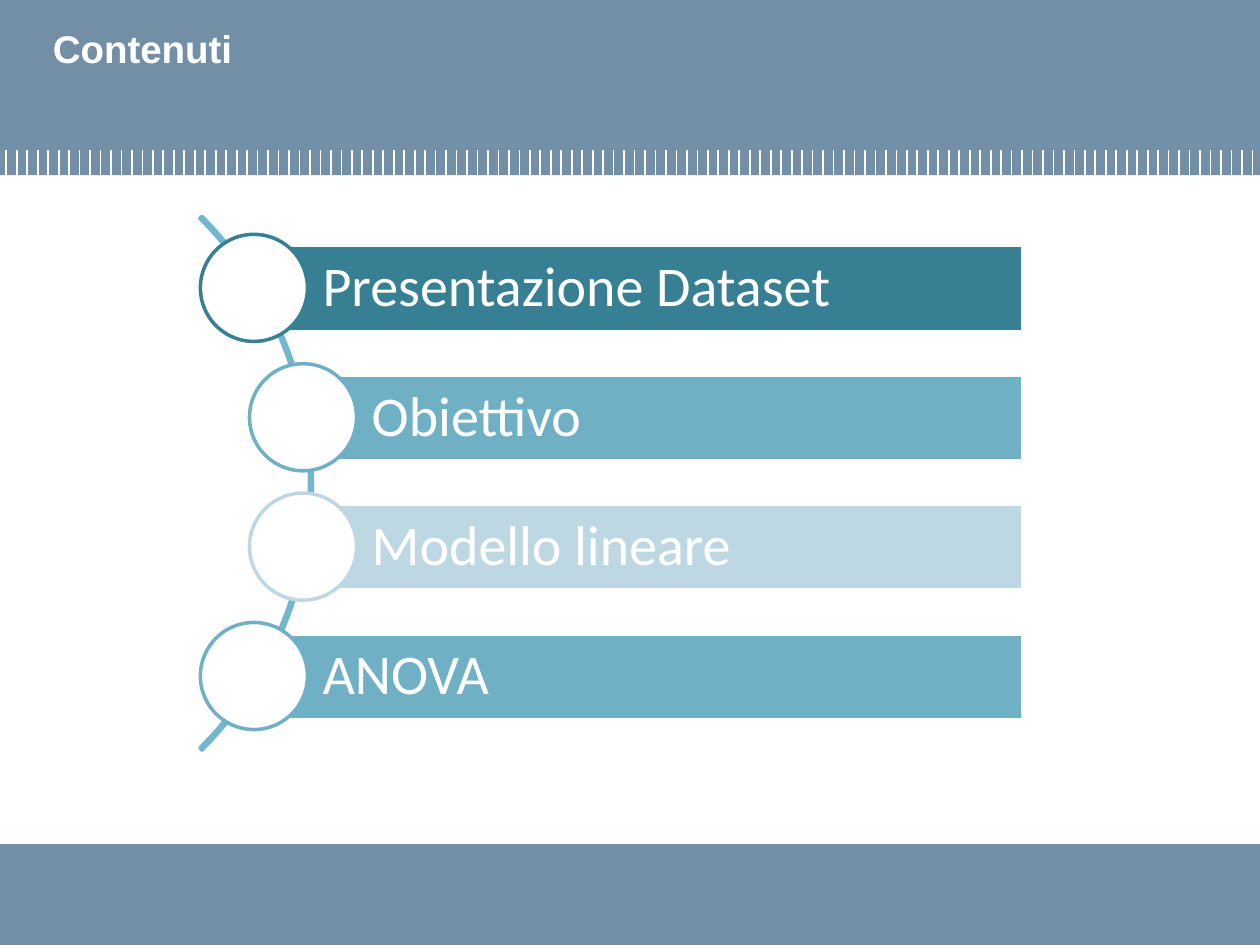
from pptx import Presentation
from pptx.dml.color import RGBColor
from pptx.enum.shapes import MSO_CONNECTOR, MSO_SHAPE
from pptx.enum.text import MSO_ANCHOR, MSO_AUTO_SIZE, PP_ALIGN
from pptx.oxml.ns import qn
from pptx.util import Inches, Pt
from lxml import etree


def rgb(color):
    return RGBColor.from_string(color)


def add_shape(kind, x, y, w, h, fill=None, line=None):
    sp = s.shapes.add_shape(kind, Inches(x), Inches(y), Inches(w), Inches(h))
    sp.shadow.inherit = False
    if fill:
        sp.fill.solid()
        sp.fill.fore_color.rgb = rgb(fill)
    else:
        sp.fill.background()
    if line:
        sp.line.color.rgb = rgb(line)
        sp.line.width = Pt(2)
    else:
        sp.line.fill.background()
    return sp


prs = Presentation()
prs.slide_width, prs.slide_height = Inches(10), Inches(7.5)
s = prs.slides.add_slide(prs.slide_layouts[5])

# Header and footer bands
for y, h in [(0, 1.39), (6.7, 0.8)]:
    add_shape(MSO_SHAPE.RECTANGLE, 0, y, 10, h, "728FA5")

# Row of white ticks along the header's lower edge
TICKS, FIRST, LAST = 120, 0.05, 9.94
for i in range(TICKS):
    x = Inches(FIRST + (LAST - FIRST) * i / (TICKS - 1))
    tick = s.shapes.add_connector(MSO_CONNECTOR.STRAIGHT, x, Inches(1.19), x, Inches(1.39))
    tick.line.color.rgb = rgb("FFFFFF")
    tick.line.width = Pt(1)
    etree.SubElement(tick.element.spPr, qn("a:effectLst"))

# Title, brought in front of the header band
title = s.shapes.title
title.element.getparent().append(title.element)
title.left, title.top = Inches(0.32), Inches(0.15)
title.width, title.height = Inches(9.38), Inches(0.92)
tf = title.text_frame
tf.text = "Contenuti"
tf.auto_size = MSO_AUTO_SIZE.NONE
tf.vertical_anchor = MSO_ANCHOR.TOP
p = tf.paragraphs[0]
p.alignment = PP_ALIGN.LEFT
p.font.name, p.font.size, p.font.bold = "Arial", Pt(22), True
p.font.color.rgb = rgb("FFFFFF")

# Arc behind the list
arc = add_shape(MSO_SHAPE.BLOCK_ARC, -3.51, 0.84, 5.99, 5.99, line="71B7CD")
for i, value in enumerate([189, 27, 0.004]):
    arc.adjustments[i] = value

# List of topics: a bar with a circle on its left end
RIGHT, TOP, PITCH = 8.12, 1.95, 3.08 / 3
topics = [
    ("Presentazione Dataset", 2.02, "377F92"),
    ("Obiettivo", 2.41, "70B0C5"),
    ("Modello lineare", 2.41, "BED8E3"),
    ("ANOVA", 2.02, "70B0C5"),
]
for i, (text, x, color) in enumerate(topics):
    y = TOP + i * PITCH
    bar = add_shape(MSO_SHAPE.RECTANGLE, x, y, RIGHT - x, 0.68, color, "FFFFFF")
    tf = bar.text_frame
    tf.text = text
    tf.word_wrap = True
    tf.vertical_anchor = MSO_ANCHOR.MIDDLE
    tf.margin_left = Inches(0.54)
    tf.margin_top = tf.margin_right = tf.margin_bottom = Inches(0.09)
    p = tf.paragraphs[0]
    p.alignment = PP_ALIGN.LEFT
    p.line_spacing = 0.9
    p.font.name, p.font.size = "Calibri", Pt(32)
    p.font.color.rgb = rgb("FFFFFF")
    add_shape(MSO_SHAPE.OVAL, x - 0.43, y - 0.09, 0.85, 0.85, "FFFFFF", color)

prs.save("out.pptx")
